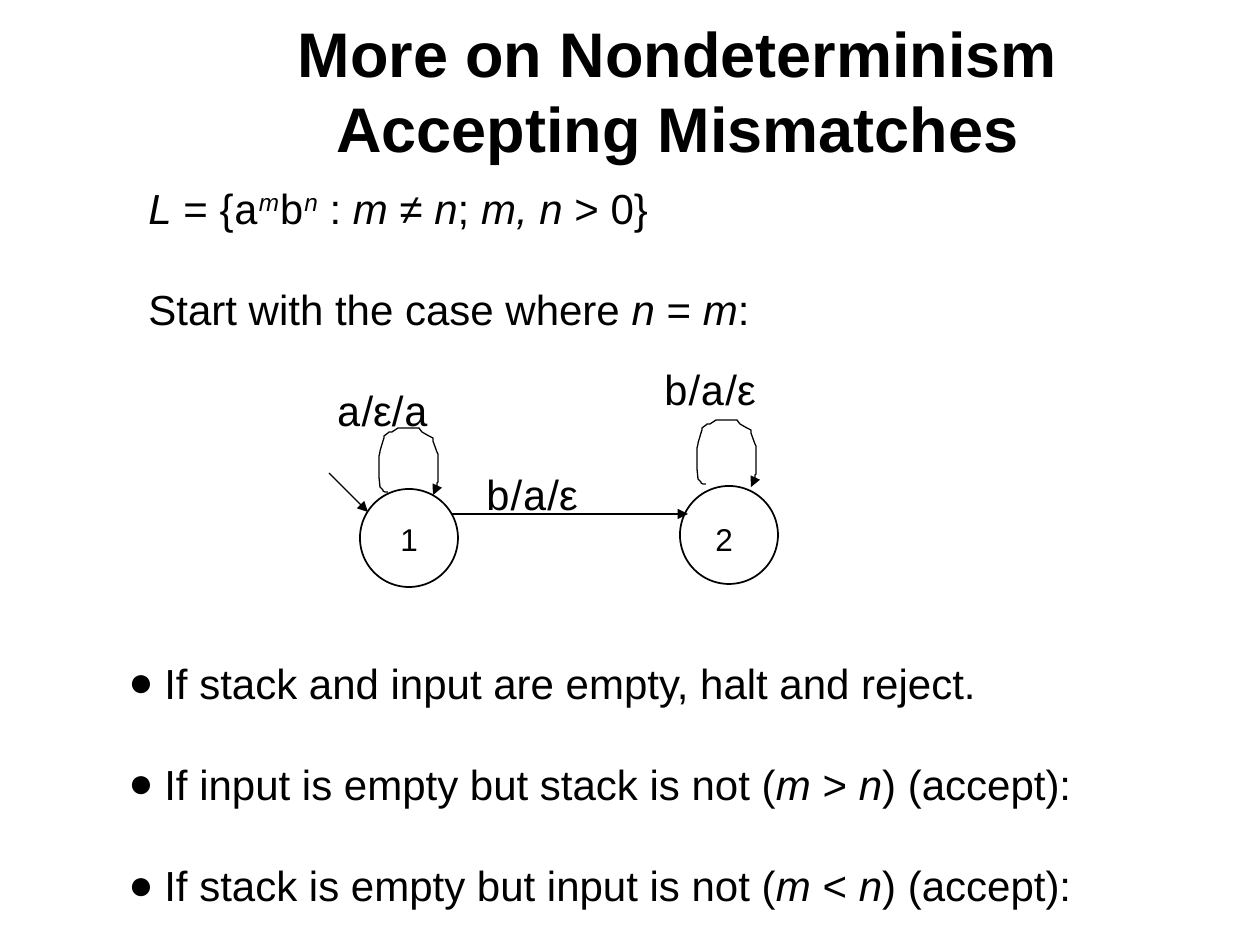
from dataclasses import dataclass

import pptx
import pptx.dml.color
import pptx.enum.shapes
import pptx.enum.text
import pptx.oxml.ns
import pptx.util
from lxml import etree

PX = 914400 / 126
COLORS = {"ink": "000000"}
SANS, MONO = "Arial", "Courier New"
BLANK_LINE = 29
LOOP = [
    (9, 64), (6, 64), (4, 63), (4, 62), (1, 59), (0, 49), (0, 28), (1, 24),
    (1, 23), (4, 13), (5, 10), (5, 8), (9, 5), (10, 4), (13, 4), (19, 0),
    (40, 0), (43, 4), (50, 8), (54, 10), (54, 13), (58, 24), (59, 26),
    (59, 54), (58, 55), (58, 59), (55, 62), (55, 63), (54, 64), (54, 67),
]


@dataclass(frozen=True)
class Run:
    text: str
    italic: bool = False
    font: str = SANS
    raised: bool = False
    bold: bool = False


@dataclass(frozen=True)
class Label:
    x: int
    y: int
    w: int
    h: int
    paragraphs: list[list[Run]]
    size: int = 24
    hanging: int = 0
    bullet: str = ""
    centered: bool = False


@dataclass(frozen=True)
class State:
    x: int
    y: int
    loop_x: int
    loop_y: int


@dataclass(frozen=True)
class Arrow:
    x1: int
    y1: int
    x2: int
    y2: int


def emu(px: int) -> pptx.util.Emu:
    return pptx.util.Emu(round(px * PX))


def ink() -> pptx.dml.color.RGBColor:
    return pptx.dml.color.RGBColor.from_string(COLORS["ink"])


def italic(text: str) -> Run:
    return Run(text, italic=True)


def code(text: str) -> Run:
    return Run(text, font=MONO)


def power(text: str) -> Run:
    return Run(text, italic=True, raised=True)


def pop_label(x: int, y: int, w: int) -> Label:
    return Label(x, y, w, 63, [[code("b"), Run("/"), code("a"), Run("/ε")]])


def stack_case(start: str, sign: str) -> list[Run]:
    return [Run(start), italic("m"), Run(f" {sign} "), italic("n"), Run(") (accept):")]


def set_hanging(p, label: Label) -> None:
    """Indent a paragraph under its first line, with a bullet if there is one."""
    pPr = p._p.get_or_add_pPr()
    pPr.set("marL", str(emu(label.hanging)))
    pPr.set("indent", str(-emu(label.hanging)))
    if label.bullet:
        etree.SubElement(pPr, pptx.oxml.ns.qn("a:buFont")).set("typeface", SANS)
        etree.SubElement(pPr, pptx.oxml.ns.qn("a:buChar")).set("char", label.bullet)


def add_label(s, label: Label) -> None:
    sp = s.shapes.add_textbox(emu(label.x), emu(label.y), emu(label.w), emu(label.h))
    tf = sp.text_frame
    tf.word_wrap = True
    if label.centered:
        tf.vertical_anchor = pptx.enum.text.MSO_ANCHOR.MIDDLE
    for i, runs in enumerate(label.paragraphs):
        p = tf.add_paragraph() if i else tf.paragraphs[0]
        if i:
            p.space_before = pptx.util.Pt(BLANK_LINE)
        if label.centered:
            p.alignment = pptx.enum.text.PP_ALIGN.CENTER
        if label.hanging:
            set_hanging(p, label)
        for run in runs:
            for j, line in enumerate(run.text.split("\n")):
                if j:
                    p.add_line_break()
                r = p.add_run()
                r.text = line
                r.font.name = run.font
                r.font.size = pptx.util.Pt(label.size)
                r.font.bold = run.bold
                r.font.italic = run.italic
                r.font.color.rgb = ink()
                if run.raised:
                    r._r.get_or_add_rPr().set("baseline", "30000")


def set_line(sp, width: float, arrow: bool = False) -> None:
    sp.line.color.rgb = ink()
    sp.line.width = pptx.util.Pt(width)
    if arrow:
        ln = sp.line._get_or_add_ln()
        etree.SubElement(ln, pptx.oxml.ns.qn("a:tailEnd")).set("type", "triangle")


def add_state(s, state: State) -> None:
    """Draw a state's circle and the loop above it."""
    circle = s.shapes.add_shape(
        pptx.enum.shapes.MSO_SHAPE.OVAL, emu(state.x), emu(state.y), emu(98), emu(98))
    fb = s.shapes.build_freeform(*LOOP[0], scale=PX)
    fb.add_line_segments(LOOP[1:], close=False)
    loop = fb.convert_to_shape(emu(state.loop_x), emu(state.loop_y))
    for sp in (circle, loop):
        sp.shadow.inherit = False
        sp.fill.background()
    set_line(circle, 1)
    set_line(loop, 0.75, arrow=True)


def add_arrow(s, arrow: Arrow) -> None:
    sp = s.shapes.add_connector(
        pptx.enum.shapes.MSO_CONNECTOR.STRAIGHT,
        emu(arrow.x1), emu(arrow.y1), emu(arrow.x2), emu(arrow.y2))
    set_line(sp, 0.75, arrow=True)
    etree.SubElement(sp._element.spPr, pptx.oxml.ns.qn("a:effectLst"))


LABELS = [
    Label(95, 32, 1165, 116,
          [[Run("More on Nondeterminism\nAccepting Mismatches", bold=True)]],
          size=36, centered=True),
    Label(136, 176, 1113, 164, [
        [italic("L"), Run(" = {"), code("a"), power("m"), code("b"), power("n"),
         Run(" : "), italic("m "), Run("≠ "), italic("n"), Run("; "),
         italic("m, n"), Run(" > 0}")],
        [Run("Start with the case where "), italic("n"), Run(" = "), italic("m"), Run(":")],
    ], hanging=48),
    Label(324, 378, 147, 63, [[code("a"), Run("/ε/"), code("a")]]),
    pop_label(473, 462, 168),
    pop_label(651, 357, 147),
    Label(116, 651, 1081, 265, [
        [Run("If stack and input are empty, halt and reject.")],
        stack_case("If input is empty but stack is not (", ">"),
        stack_case("If stack is empty but input is not (", "<"),
    ], hanging=36, bullet="●"),
    Label(388, 514, 42, 50, [[Run("1")]], size=18),
    Label(703, 514, 53, 50, [[Run("2")]], size=18),
]
STATES = [State(360, 489, 379, 428), State(680, 486, 697, 420)]
ARROWS = [Arrow(329, 473, 368, 512), Arrow(451, 514, 688, 514)]


def main() -> None:
    prs = pptx.Presentation()
    prs.slide_width, prs.slide_height = emu(1260), emu(945)
    s = prs.slides.add_slide(prs.slide_layouts[6])
    for state in STATES:
        add_state(s, state)
    for arrow in ARROWS:
        add_arrow(s, arrow)
    for label in LABELS:
        add_label(s, label)
    prs.save("out.pptx")


if __name__ == "__main__":
    main()
